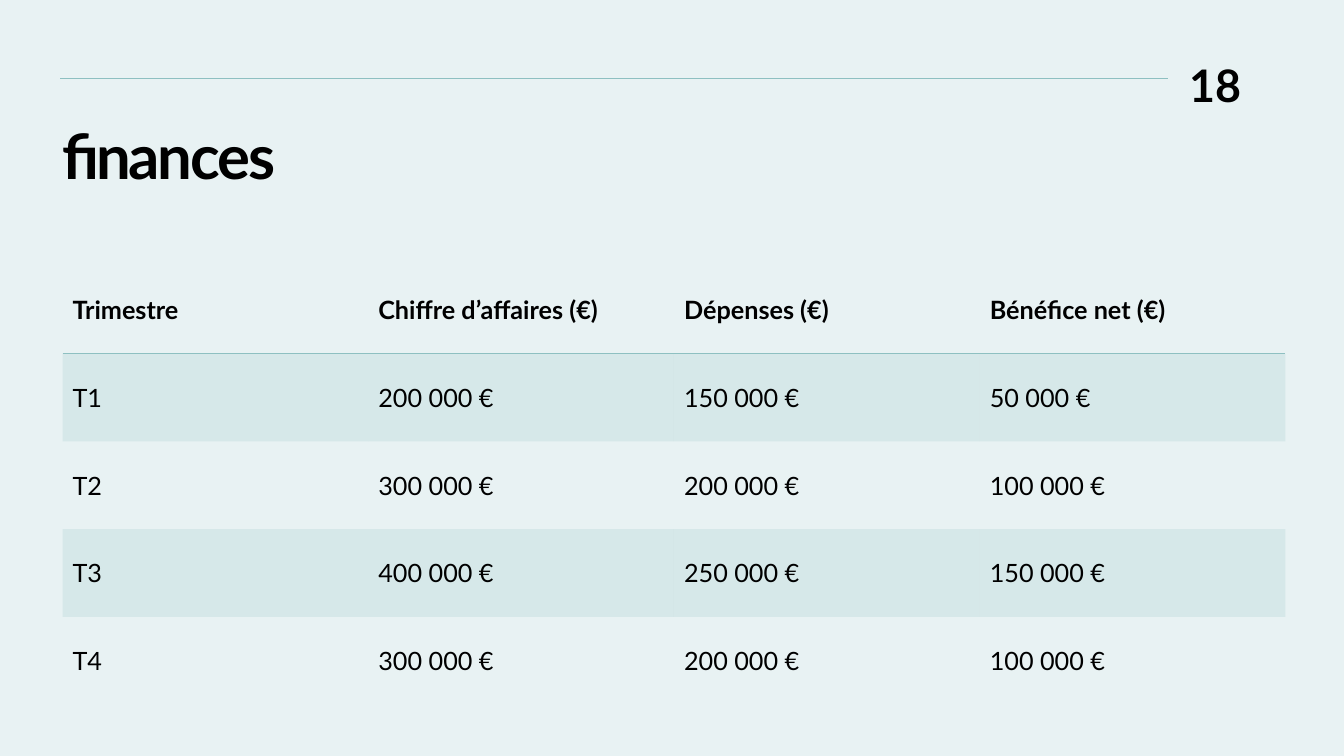
from dataclasses import dataclass

from lxml import etree
from pptx import Presentation
from pptx.dml.color import RGBColor
from pptx.enum.shapes import MSO_CONNECTOR
from pptx.enum.text import MSO_ANCHOR, MSO_AUTO_SIZE, PP_ALIGN
from pptx.oxml.ns import qn
from pptx.util import Inches, Pt

LEFT, RIGHT = PP_ALIGN.LEFT, PP_ALIGN.RIGHT
TOP, MIDDLE = MSO_ANCHOR.TOP, MSO_ANCHOR.MIDDLE
STRAIGHT = MSO_CONNECTOR.STRAIGHT
NO_AUTOFIT = MSO_AUTO_SIZE.NONE
PLAIN_TABLE = "{2D5ABB26-0587-4C30-8999-92F81FD0307C}"

TITLE = "finances"
PAGE = "18"
HEADER = ["Trimestre", "Chiffre d’affaires (€)", "Dépenses (€)", "Bénéfice net (€)"]
QUARTERS = [
    ("T1", "200 000 €", "150 000 €", "50 000 €"),
    ("T2", "300 000 €", "200 000 €", "100 000 €"),
    ("T3", "400 000 €", "250 000 €", "150 000 €"),
    ("T4", "300 000 €", "200 000 €", "100 000 €"),
]


@dataclass(frozen=True)
class Theme:
    font: str = "Lato"
    bg: str = "E8F2F3"
    ink: str = "000000"
    accent: str = "8EC0C1"
    band_alpha: int = 20
    title: int = 44
    page: int = 32
    cell: int = 18


THEME = Theme()
WIDTH, HEIGHT = 13.33, 7.5
MARGIN = 0.62
CONTENT_W = 12.13
ROW_H = 0.87
TABLE_TOP = 2.64


def write(tf, text, size, bold=False, align=LEFT):
    tf.text = text
    p = tf.paragraphs[0]
    p.alignment = align
    p.font.name = THEME.font
    p.font.size = Pt(size)
    p.font.bold = bold
    p.font.color.rgb = RGBColor.from_string(THEME.ink)
    return p


def set_insets(tf, left, top, right, bottom):
    tf.margin_left, tf.margin_top = Inches(left), Inches(top)
    tf.margin_right, tf.margin_bottom = Inches(right), Inches(bottom)


def add_rule(slide):
    y = Inches(0.78)
    line = slide.shapes.add_connector(STRAIGHT, Inches(0.6), y, Inches(11.58), y)
    line.line.color.rgb = RGBColor.from_string(THEME.accent)
    line.line.width = Pt(0.75)
    etree.SubElement(line._element.spPr, qn("a:effectLst"))


def add_title(slide):
    sp = slide.shapes.title
    sp.left, sp.top = Inches(MARGIN), Inches(1.2)
    sp.width, sp.height = Inches(CONTENT_W), Inches(1.32)
    tf = sp.text_frame
    tf.auto_size = NO_AUTOFIT
    tf.vertical_anchor = TOP
    set_insets(tf, 0, 0.05, 0.1, 0.05)
    p = write(tf, TITLE, THEME.title, bold=True)
    p.line_spacing = 0.9
    p.runs[0]._r.get_or_add_rPr().set("spc", "-150")


def add_page_number(slide):
    sp = slide.shapes.add_textbox(Inches(11.31), Inches(0.57), Inches(1), Inches(0.53))
    tf = sp.text_frame
    tf.word_wrap = True
    set_insets(tf, 0, 0, 0, 0)
    write(tf, PAGE, THEME.page, bold=True, align=RIGHT)


def underline(cell):
    ln = etree.Element(qn("a:lnB"), w=str(Pt(1)))
    fill = etree.SubElement(ln, qn("a:solidFill"))
    etree.SubElement(fill, qn("a:srgbClr"), val=THEME.accent)
    cell._tc.get_or_add_tcPr().insert(0, ln)


def shade(cell):
    cell.fill.solid()
    cell.fill.fore_color.rgb = RGBColor.from_string(THEME.accent)
    color = cell._tc.tcPr.find(".//" + qn("a:srgbClr"))
    etree.SubElement(color, qn("a:alpha"), val=str(THEME.band_alpha * 1000))


def add_finance_table(slide):
    rows = [HEADER, *QUARTERS]
    frame = slide.shapes.add_table(
        len(rows), len(HEADER), Inches(MARGIN), Inches(TABLE_TOP),
        Inches(CONTENT_W), Inches(ROW_H * len(rows)))
    table = frame.table
    table.horz_banding = False
    table._tbl.tblPr.find(qn("a:tableStyleId")).text = PLAIN_TABLE
    for i, row in enumerate(rows):
        for j, text in enumerate(row):
            cell = table.cell(i, j)
            cell.vertical_anchor = MIDDLE
            write(cell.text_frame, text, THEME.cell, bold=i == 0)
            if i % 2:
                shade(cell)
            else:
                cell.fill.background()
            if i == 0:
                underline(cell)


def main():
    prs = Presentation()
    prs.slide_width, prs.slide_height = Inches(WIDTH), Inches(HEIGHT)
    slide = prs.slides.add_slide(prs.slide_layouts[5])
    slide.background.fill.solid()
    slide.background.fill.fore_color.rgb = RGBColor.from_string(THEME.bg)
    add_rule(slide)
    add_title(slide)
    add_page_number(slide)
    add_finance_table(slide)
    prs.save("out.pptx")


if __name__ == "__main__":
    main()
